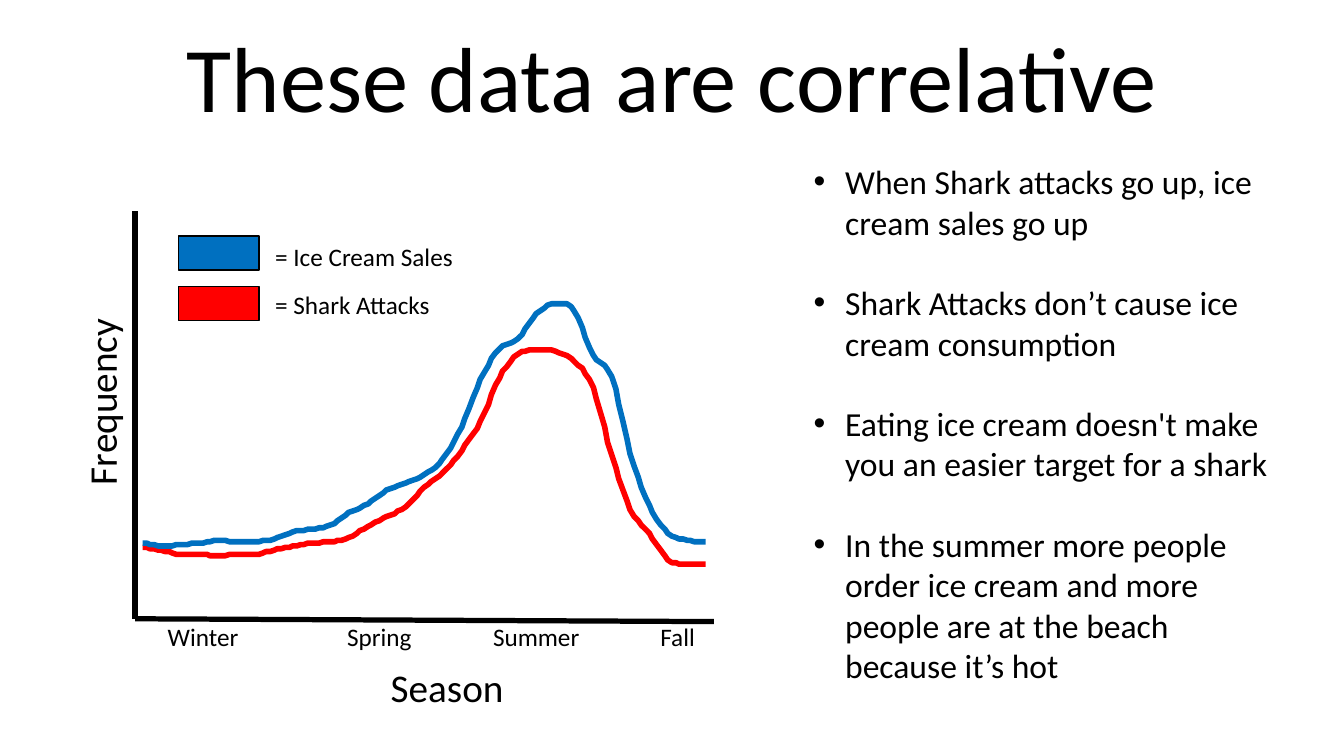
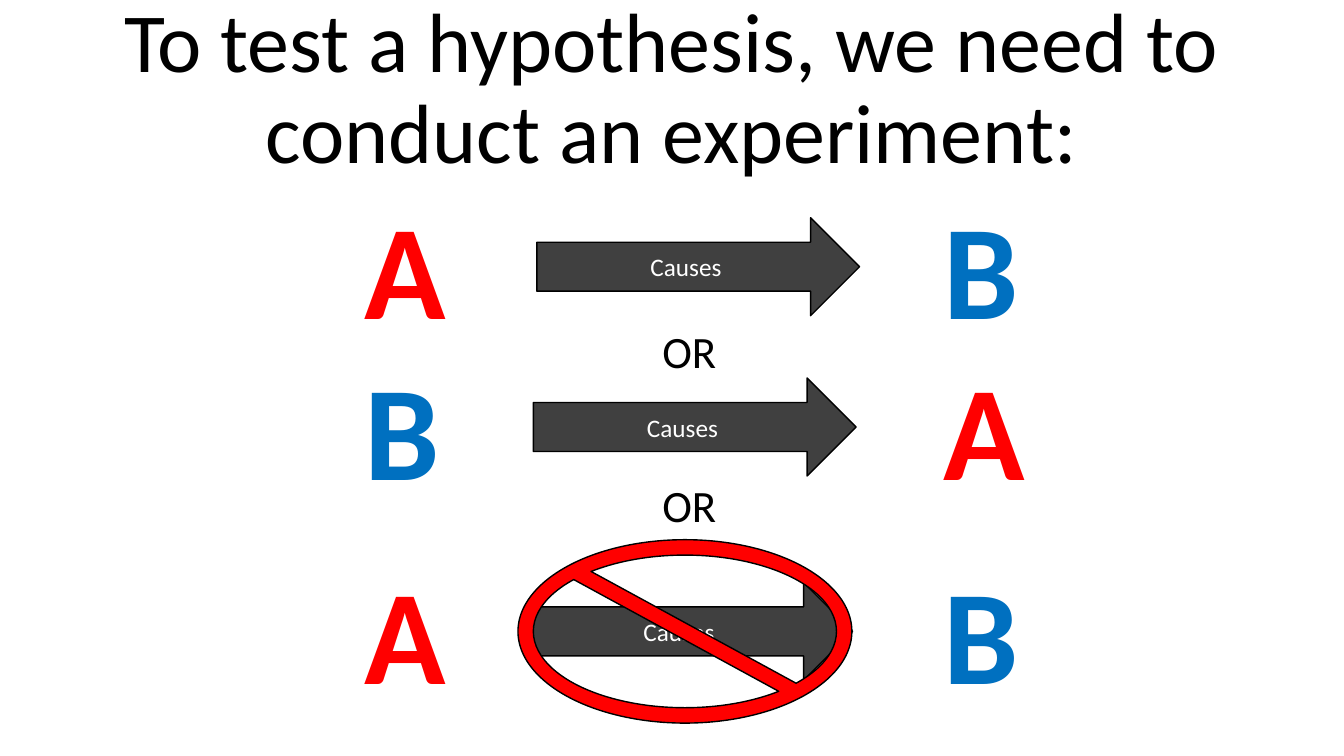
from itertools import chain

from lxml import etree
from pptx import Presentation
from pptx import util as u
from pptx.dml import color
from pptx.enum import shapes, text
from pptx.oxml import ns

Pt = u.Pt
FONT = "Calibri"
HUES = {"ink": "000000", "ice": "0070C0", "shark": "FF0000",
        "arrow": "404040", "light": "FFFFFF"}
MID = text.PP_ALIGN.CENTER
LEFT = text.PP_ALIGN.LEFT
KIND = shapes.MSO_SHAPE

# Graph frame: corner of the axes, start of the curves, sample gap
CORNER = (96.5, 442)
START = 102
STEP = 13.4

# Each season: centre of its label, then evenly spaced curve heights
SEASONS = {
    "Winter": {"mid": 145,
               "ice": [54, 52, 53, 54, 56, 55, 55, 57, 62],
               "shark": [51, 49, 46, 46, 45, 46, 46, 49, 52]},
    "Spring": {"mid": 271,
               "ice": [64, 67, 76, 82, 92, 97, 103, 114],
               "shark": [54, 55, 58, 66, 73, 80, 94, 104]},
    "Summer": {"mid": 383,
               "ice": [137, 171, 193, 200, 218, 225, 220, 188],
               "shark": [120, 141, 172, 189, 192, 191, 184, 165]},
    "Fall": {"mid": 484,
             "ice": [173, 118, 81, 61, 56, 55],
             "shark": [117, 78, 61, 42, 39, 39]}}
LEGEND = {"ice": "= Ice Cream Sales", "shark": "= Shark Attacks"}

POINTS = [
    "When Shark attacks go up, ice cream sales go up",
    "Shark Attacks don’t cause ice cream consumption",
    "Eating ice cream doesn't make you an easier target for a shark",
    "In the summer more people order ice cream and more people are at "
    "the beach because it’s hot"]

# Each claim: cause and effect, top of the letters, left of the arrow
CLAIMS = [("AB", 129, 383.5), ("BA", 243.5, 381), ("AB", 389.5, 378.5)]
TINT = {"A": "shark", "B": "ice"}


# Format helpers
def put(item, **vals):
    for name, val in vals.items():
        setattr(item, name, val)


def rgb(hue):
    return color.RGBColor.from_string(HUES[hue])


def place(item, box):
    names = ("left", "top", "width", "height")
    put(item, **{name: Pt(val) for name, val in zip(names, box)})


def write(par, words, size, hue="ink", bold=False, align=LEFT):
    run = par.add_run()
    run.text = words
    put(run.font, name=FONT, size=Pt(size), bold=bold)
    run.font.color.rgb = rgb(hue)
    par.alignment = align


def stroke(line, hue, width):
    line.color.rgb = rgb(hue)
    line.width = Pt(width)


# Placeholders
def fit(item, box, anchor):
    place(item, box)
    put(item.text_frame, word_wrap=True, vertical_anchor=anchor,
        auto_size=text.MSO_AUTO_SIZE.NONE)
    return item.text_frame


def title(slide, words, size, box):
    frame = fit(slide.shapes.title, box, text.MSO_ANCHOR.MIDDLE)
    par = frame.paragraphs[0]
    write(par, words, size, align=MID)
    par.line_spacing = 0.9


def bullets(slide, lines, size, box):
    frame = fit(slide.placeholders[1], box, text.MSO_ANCHOR.TOP)
    for num, words in enumerate(lines):
        par = frame.add_paragraph() if num else frame.paragraphs[0]
        write(par, words, size)
        put(par, line_spacing=1.0, space_before=Pt(0), space_after=Pt(28.8))
        props = par._p.get_or_add_pPr()
        props.set("marL", str(Pt(22.5)))
        props.set("indent", str(Pt(-22.5)))


# Drawn elements
def label(slide, words, size, box, turn=0, **look):
    item = slide.shapes.add_textbox(*map(Pt, box))
    item.rotation = turn
    item.text_frame.word_wrap = True
    write(item.text_frame.paragraphs[0], words, size, **look)


def block(slide, kind, hue, box):
    item = slide.shapes.add_shape(kind, *map(Pt, box))
    item.shadow.inherit = False
    item.fill.solid()
    item.fill.fore_color.rgb = rgb(hue)
    stroke(item.line, "ink", 1)
    return item


def axis(slide, start, end):
    item = slide.shapes.add_connector(
        shapes.MSO_CONNECTOR.STRAIGHT, *map(Pt, start + end))
    stroke(item.line, "ink", 3.75)
    etree.SubElement(item._element.spPr, ns.qn("a:effectLst"))


def smooth(vals, parts=5):
    """Join evenly spaced values with a Catmull-Rom spline."""
    ends = [vals[0], *vals, vals[-1]]
    out = []
    for a, b, c, d in zip(ends, ends[1:], ends[2:], ends[3:]):
        for num in range(parts):
            t = num / parts
            out.append(b + t * (c - a) / 2
                       + t ** 2 * (2 * a - 5 * b + 4 * c - d) / 2
                       + t ** 3 * (3 * b - a - 3 * c + d) / 2)
    return out + [vals[-1]]


def curve(slide, heights, hue, parts=5):
    dots = [(START + num * STEP / parts, CORNER[1] - high)
            for num, high in enumerate(smooth(heights, parts))]
    form = slide.shapes.build_freeform(*dots[0], scale=Pt(1))
    form.add_line_segments(dots[1:], close=False)
    item = form.convert_to_shape()
    item.shadow.inherit = False
    item.fill.background()
    stroke(item.line, hue, 4)


# Slide contents
def graph(slide):
    # Axes and their names
    axis(slide, (96.5, 151), CORNER)
    axis(slide, CORNER, (510, 444))
    label(slide, "Season", 28, (272, 470.5, 96, 41))
    label(slide, "Frequency", 28, (3.5, 264, 138, 41), turn=270)
    for name, data in SEASONS.items():
        label(slide, name, 18, (data["mid"] - 45, 440, 90, 29), align=MID)
    # Curves, the blue one in front
    for hue in ("shark", "ice"):
        heights = chain.from_iterable(
            data[hue] for data in SEASONS.values())
        curve(slide, list(heights), hue)
    # Legend
    for num, (hue, words) in enumerate(LEGEND.items()):
        block(slide, KIND.RECTANGLE, hue,
              (127.5, 168.5 + 36 * num, 57.5, 24.5))
        label(slide, words, 18, (189.5, 169 + 34 * num, 150, 29))


def claims(slide):
    for pair, top, left in CLAIMS:
        arrow = block(slide, KIND.RIGHT_ARROW, "arrow",
                      (left, top + 26.5, 230.5, 70))
        arrow.text_frame.vertical_anchor = text.MSO_ANCHOR.MIDDLE
        write(arrow.text_frame.paragraphs[0], "Causes", 18, "light",
              align=MID)
        for sign, side in zip(pair, (253.5, 667)):
            label(slide, sign, 96, (side, top, 77, 124),
                  hue=TINT[sign], bold=True)
    # The last claim is ruled out
    ban = block(slide, KIND.NO_SYMBOL, "shark", (370, 385.5, 238.5, 131))
    ban.adjustments[0] = 0.084
    for top in (227.5, 338):
        label(slide, "OR", 32, (466, top, 91, 46))


def main():
    deck = Presentation()
    put(deck, slide_width=Pt(960), slide_height=Pt(540))

    first = deck.slides.add_slide(deck.slide_layouts[1])
    title(first, "These data are correlative", 66, (66, 7, 828, 104.5))
    graph(first)
    bullets(first, POINTS, 24, (574, 111.5, 350.5, 425))

    second = deck.slides.add_slide(deck.slide_layouts[5])
    title(second, "To test a hypothesis, we need to conduct an experiment:",
          60, (11.5, 12.5, 936, 104.5))
    claims(second)
    deck.save("out.pptx")


if __name__ == "__main__":
    main()
